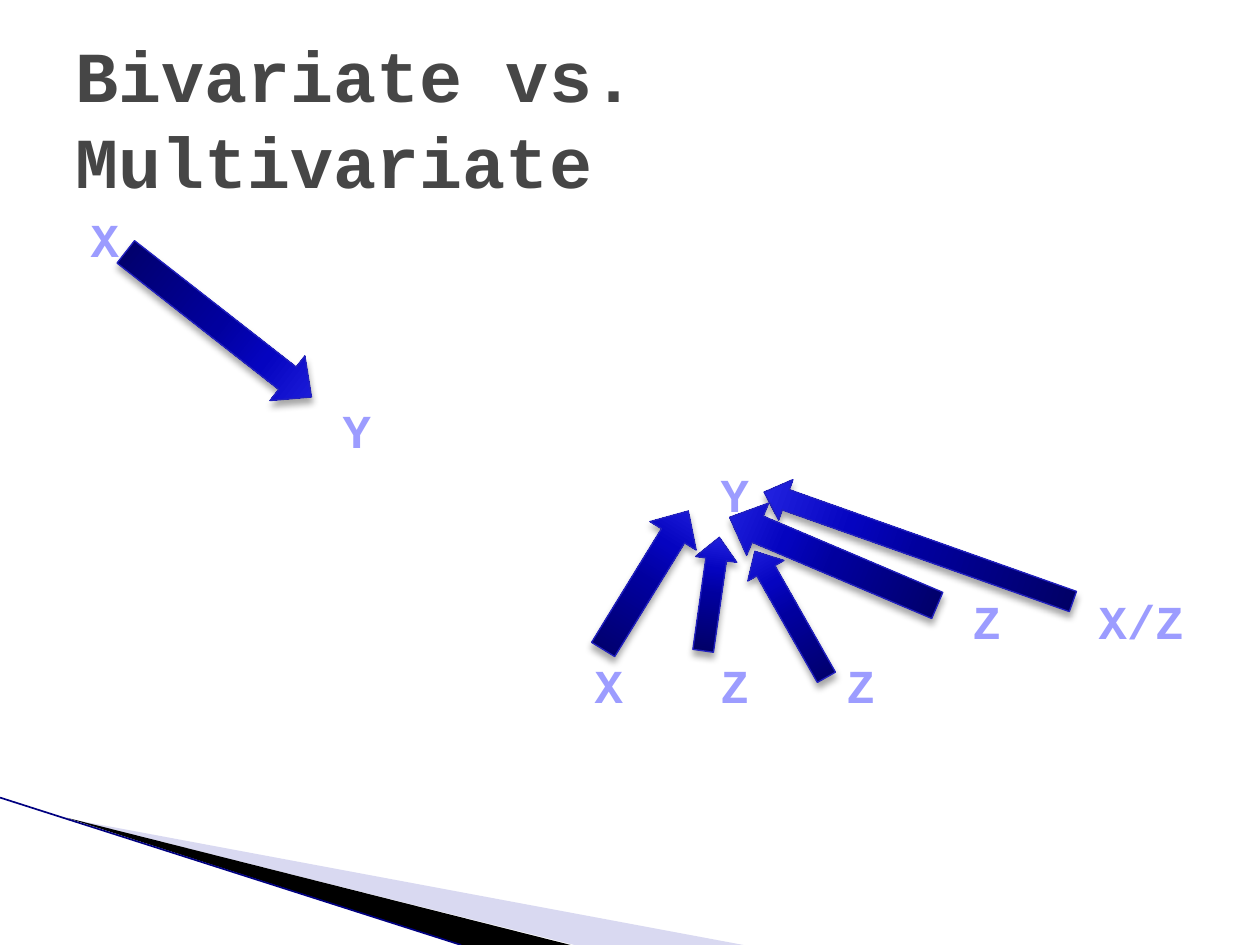
from dataclasses import dataclass

from lxml.etree import SubElement
from pptx import Presentation
from pptx.dml.color import RGBColor
from pptx.enum.shapes import MSO_CONNECTOR as Connector, MSO_SHAPE as Preset
from pptx.enum.text import MSO_ANCHOR as Anchor, MSO_AUTO_SIZE as AutoSize, PP_ALIGN as Align
from pptx.oxml import parse_xml
from pptx.oxml.ns import nsdecls, qn
from pptx.util import Inches, Pt


@dataclass
class Theme:
    font: str = "Courier New"
    title: str = "464646"
    label: str = "9C9CFF"
    arrow_line: str = "2221BF"
    arrow_stops: tuple = ((0, "010062"), (50, "01009E"), (70, "0504C0"), (100, "2626E4"))
    edge: str = "000080"
    title_size: float = 41
    label_size: float = 27
    row_pitch: float = 36.3
    row_gap: float = 4


theme = Theme()

# Content: each row of labels has a line number and a starting column
TITLE = "Bivariate vs. Multivariate"
ROWS = [
    (0, 0, ["X"]),
    (3, 2, ["Y"]),
    (4, 5, ["Y"]),
    (6, 7, ["Z", "X/Z"]),
    (7, 4, ["X", "Z", "Z"]),
]
# Arrows: left, top, width, height, rotation
ARROWS = [
    (1.51, 1.64, 0.45, 1.87, 128),
    (7.12, 3.04, 0.34, 2.6, 289.5),
    (6.39, 3.56, 0.45, 1.79, 293),
    (6.11, 4.3, 0.33, 1.15, 330.4),
    (5.48, 4.26, 0.33, 0.91, 8.1),
    (4.91, 3.96, 0.43, 1.29, 31.6),
]
# Corner wedges: colour, outline points
WEDGES = [
    ("D9D9F1", [(0.55, 6.5), (5.9, 7.5), (4.56, 7.5)]),
    ("000000", [(0.53, 6.49), (4.53, 7.5), (3.66, 7.5)]),
]
EDGE = [(0, 6.33), (3.66, 7.5)]


def style(para, size, color):
    para.alignment = Align.LEFT
    para.font.name = theme.font
    para.font.size = Pt(size)
    para.font.bold = True
    para.font.color.rgb = RGBColor.from_string(color)


def place(shape, left, top, width, height):
    shape.left, shape.top = Inches(left), Inches(top)
    shape.width, shape.height = Inches(width), Inches(height)


def add_wedge(page, color, points):
    corners = [(Inches(x), Inches(y)) for x, y in points]
    builder = page.shapes.build_freeform(*corners[0])
    builder.add_line_segments(corners[1:], close=True)
    wedge = builder.convert_to_shape()
    wedge.shadow.inherit = False
    wedge.fill.solid()
    wedge.fill.fore_color.rgb = RGBColor.from_string(color)
    wedge.line.fill.background()


def add_arrow(page, left, top, width, height, rotation):
    arrow = page.shapes.add_shape(
        Preset.UP_ARROW, Inches(left), Inches(top), Inches(width), Inches(height))
    arrow.rotation = rotation
    arrow.adjustments[0], arrow.adjustments[1] = 0.5, 0.538
    arrow.line.color.rgb = RGBColor.from_string(theme.arrow_line)
    arrow.line.width = Pt(0.75)
    # Four-stop gradient and soft shadow
    stops = "".join(f'<a:gs pos="{pos * 1000}"><a:srgbClr val="{color}"/></a:gs>'
                    for pos, color in theme.arrow_stops)
    gradient = parse_xml(
        f'<a:gradFill {nsdecls("a")} rotWithShape="1"><a:gsLst>{stops}</a:gsLst>'
        '<a:lin ang="16200000" scaled="0"/></a:gradFill>')
    shadow = parse_xml(
        f'<a:effectLst {nsdecls("a")}><a:outerShdw blurRad="{Pt(4)}" dist="{Pt(3)}" '
        'dir="5400000" rotWithShape="0"><a:srgbClr val="000000"><a:alpha val="35000"/>'
        '</a:srgbClr></a:outerShdw></a:effectLst>')
    line = arrow.line._get_or_add_ln()
    line.addprevious(gradient)
    line.addnext(shadow)


deck = Presentation()
deck.slide_width, deck.slide_height = Inches(10), Inches(7.5)

# Default tab stops one inch apart
for root in (deck.element, deck.slide_master.element):
    for level in root.iter():
        if level.get("defTabSz"):
            level.set("defTabSz", str(Inches(1)))

page = deck.slides.add_slide(deck.slide_layouts[1])

# Corner decoration
for color, points in WEDGES:
    add_wedge(page, color, points)
edge = page.shapes.add_connector(
    Connector.STRAIGHT, *[Inches(value) for point in EDGE for value in point])
edge.line.color.rgb = RGBColor.from_string(theme.edge)
edge.line.width = Pt(0.95)
SubElement(edge._element.spPr, qn("a:effectLst"))

# Title
title = page.shapes.title
place(title, 0.5, 0.3, 9, 1.25)
title.text_frame.text = TITLE
title.text_frame.auto_size = AutoSize.NONE
title.text_frame.vertical_anchor = Anchor.MIDDLE
style(title.text_frame.paragraphs[0], theme.title_size, theme.title)

# Variable labels, set in one-inch columns
body = page.placeholders[1]
place(body, 0.5, 1.62, 9, 4.95)
frame = body.text_frame
frame.auto_size = AutoSize.NONE
frame.margin_left = Inches(0.22)
frame.text = "\n".join("\t" * column + "\t".join(labels) for _, column, labels in ROWS)
previous = -1
for para, (row, column, labels) in zip(frame.paragraphs, ROWS):
    style(para, theme.label_size, theme.label)
    para.space_before = Pt(theme.row_gap + (row - previous - 1) * theme.row_pitch)
    previous = row
    props = para._p.get_or_add_pPr()
    props.set("marL", "0")
    props.set("indent", "0")
    props.set("defTabSz", str(Inches(1)))
    props.find(qn("a:defRPr")).addprevious(parse_xml(f'<a:buNone {nsdecls("a")}/>'))

# Arrows between variables
for arrow in ARROWS:
    add_arrow(page, *arrow)

deck.save("out.pptx")
